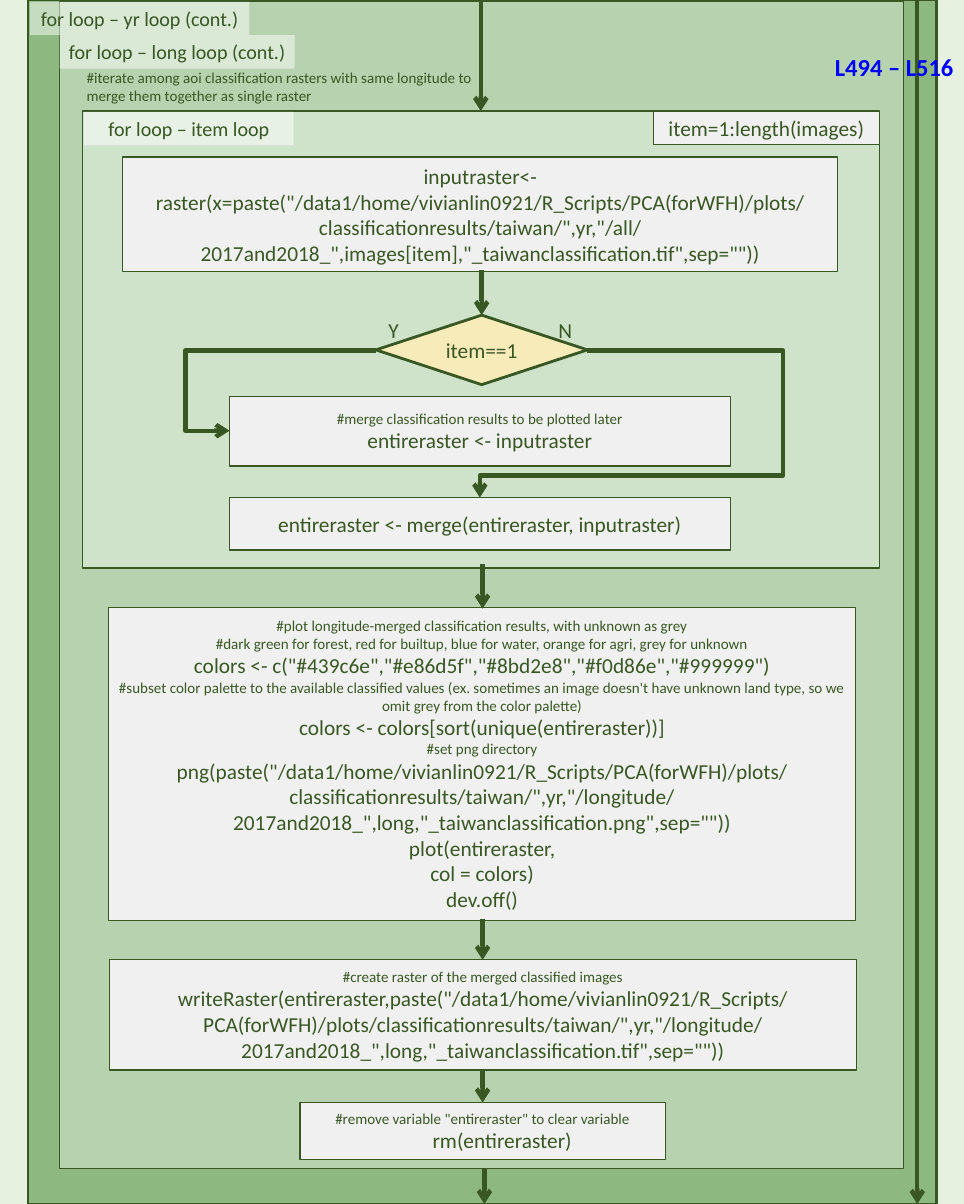
"""Draw the flowchart page of the longitude loop that merges and plots classification rasters."""
import dataclasses
import typing

import lxml.etree
import pptx
import pptx.dml.color
import pptx.enum.shapes
import pptx.enum.text
import pptx.oxml.ns
import pptx.slide
import pptx.util

COLUMNS, ROWS = 64, 80
WIDTH, HEIGHT = pptx.util.Inches(10.67), pptx.util.Inches(13.33)
COLORS = {
    "page": "E6F1DF", "year": "8DB981", "longitude": "B6D2AE", "item": "CFE3CB",
    "label": "FFFFFF", "step": "F0F0F0", "choice": "F8EBBA", "ink": "385723", "mark": "0000FF",
}
SHAPES = pptx.enum.shapes.MSO_SHAPE
ALIGN = pptx.enum.text.PP_ALIGN
ANCHOR = pptx.enum.text.MSO_ANCHOR
NOTE, LABEL, CODE, MARK = 12, 16, 17, 19.5


@dataclasses.dataclass(frozen=True)
class Line:
    text: str
    size: float = CODE
    color: str = "ink"
    bold: bool = False
    indent: float = 0


@dataclasses.dataclass(frozen=True)
class Box:
    left: float
    top: float
    columns: float
    rows: float
    lines: tuple[Line, ...] = ()
    fill: str = "step"
    border: float = 1
    kind: SHAPES = SHAPES.FLOWCHART_PROCESS
    opacity: int = 100


@dataclasses.dataclass(frozen=True)
class Caption:
    left: float
    top: float
    columns: float
    rows: float
    line: Line
    wrap: bool = True


@dataclasses.dataclass(frozen=True)
class Arrow:
    start: tuple[float, float]
    end: tuple[float, float]
    bends: tuple[float, ...] = ()


def note(text: str) -> Line:
    return Line(text, NOTE)


def frame(left: float, top: float, columns: float, rows: float, fill: str, border: float = 1) -> Box:
    return Box(left, top, columns, rows, (), fill, border, SHAPES.RECTANGLE)


def label(left: float, top: float, columns: float, text: str) -> Box:
    return Box(left, top, columns, 2.22, (Line(text, LABEL),), "label", 0, SHAPES.RECTANGLE, 50)


BOXES = (
    frame(1.86, 0, 60.3, 80, "year", 2.25),
    frame(3.96, 0.12, 56.04, 77.52, "longitude"),
    frame(5.46, 7.38, 52.92, 30.36, "item"),
    label(3.96, 2.34, 15.6, "for loop – long loop (cont.)"),
    label(1.98, 0.12, 14.58, "for loop – yr loop (cont.)"),
    label(5.58, 7.44, 13.92, "for loop – item loop"),
    Box(43.38, 7.38, 15, 2.22, (Line("item=1:length(images)"),), border=0.5),
    Box(8.16, 10.44, 47.46, 7.62, (
        Line('inputraster<- raster(x=paste("/data1/home/vivianlin0921/R_Scripts/PCA(forWFH)/plots/'
             'classificationresults/taiwan/",yr,"/all/2017and2018_",images[item],'
             '"_taiwanclassification.tif",sep=""))'),)),
    Box(24.96, 20.94, 14.04, 4.62, (Line("item==1"),), "choice", 2.25, SHAPES.FLOWCHART_DECISION),
    Box(15.24, 26.34, 33.24, 4.62, (
        note("#merge classification results to be plotted later"),
        Line("entireraster <- inputraster"))),
    Box(15.24, 33.06, 33.24, 3.48, (Line("entireraster <- merge(entireraster, inputraster)"),)),
    Box(7.2, 40.38, 49.62, 20.76, (
        note("#plot longitude-merged classification results, with unknown as grey"),
        note("#dark green for forest, red for builtup, blue for water, orange for agri, grey for unknown"),
        Line('colors <- c("#439c6e","#e86d5f","#8bd2e8","#f0d86e","#999999")'),
        note("#subset color palette to the available classified values (ex. sometimes an image "
             "doesn't have unknown land type, so we omit grey from the color palette)"),
        Line("colors <- colors[sort(unique(entireraster))]"),
        note("#set png directory"),
        Line('png(paste("/data1/home/vivianlin0921/R_Scripts/PCA(forWFH)/plots/classificationresults/'
             'taiwan/",yr,"/longitude/2017and2018_",long,"_taiwanclassification.png",sep=""))'),
        Line("plot(entireraster,"),
        Line("col = colors)"),
        Line("dev.off()"))),
    Box(7.26, 63.78, 49.62, 7.32, (
        note("#create raster of the merged classified images"),
        Line('writeRaster(entireraster,paste("/data1/home/vivianlin0921/R_Scripts/PCA(forWFH)/plots/'
             'classificationresults/taiwan/",yr,"/longitude/2017and2018_",long,'
             '"_taiwanclassification.tif",sep=""))'))),
    Box(19.92, 73.26, 24.24, 3.78, (
        note('#remove variable "entireraster" to clear variable'),
        Line("rm(entireraster)", indent=2.6))),
)
ARROWS = (
    Arrow((31.92, 0.12), (31.92, 7.38)),
    Arrow((31.98, 17.94), (31.98, 20.94)),
    Arrow((24.96, 23.28), (15.24, 28.62), (1.3,)),
    Arrow((39, 23.28), (31.86, 33.06), (-1.82, 0.85)),
    Arrow((32.04, 37.5), (32.04, 40.44)),
    Arrow((32.04, 61.08), (32.04, 63.78)),
    Arrow((32.04, 71.1), (32.04, 73.26)),
    Arrow((32.16, 77.64), (32.16, 80)),
    Arrow((60.9, 0), (60.9, 80)),
)
CAPTIONS = (
    Caption(5.16, 4.26, 29.1, 3, note(
        "#iterate among aoi classification rasters with same longitude to merge them together as single raster")),
    Caption(25.2, 20.76, 1.92, 2.34, Line("Y"), False),
    Caption(36.48, 20.76, 2.16, 2.34, Line("N"), False),
    Caption(54.84, 3.18, 9.24, 2.58, Line("L494 – L516", MARK, "mark", True)),
)


def across(columns: float) -> int:
    return round(WIDTH * columns / COLUMNS)


def down(rows: float) -> int:
    return round(HEIGHT * rows / ROWS)


def color(name: str) -> pptx.dml.color.RGBColor:
    return pptx.dml.color.RGBColor.from_string(COLORS[name])


def child(parent: typing.Any, tag: str, **values: str) -> typing.Any:
    return lxml.etree.SubElement(parent, pptx.oxml.ns.qn(tag), values)


def write(shape: typing.Any, lines: tuple[Line, ...], align: ALIGN) -> None:
    for index, line in enumerate(lines):
        para = shape.text_frame.paragraphs[0] if index == 0 else shape.text_frame.add_paragraph()
        para.alignment = align
        if line.indent:
            para._p.get_or_add_pPr().set("marL", str(across(line.indent)))
        span = para.add_run()
        span.text = line.text
        span.font.name, span.font.size = "Calibri", pptx.util.Pt(line.size)
        span.font.bold = line.bold
        span.font.color.rgb = color(line.color)


def draw_box(page: pptx.slide.Slide, box: Box) -> None:
    shape = page.shapes.add_shape(
        box.kind, across(box.left), down(box.top), across(box.columns), down(box.rows))
    shape.shadow.inherit = False
    shape.fill.solid()
    shape.fill.fore_color.rgb = color(box.fill)
    if box.opacity < 100:
        tint = next(shape._element.spPr.iter(pptx.oxml.ns.qn("a:srgbClr")))
        child(tint, "a:alpha", val=str(box.opacity * 1000))
    if box.border:
        shape.line.color.rgb = color("ink")
        shape.line.width = pptx.util.Pt(box.border)
    else:
        shape.line.fill.background()
    shape.text_frame.word_wrap = True
    shape.text_frame.vertical_anchor = ANCHOR.TOP if box.fill == "label" else ANCHOR.MIDDLE
    write(shape, box.lines, ALIGN.CENTER)


def draw_caption(page: pptx.slide.Slide, caption: Caption) -> None:
    shape = page.shapes.add_textbox(
        across(caption.left), down(caption.top), across(caption.columns), down(caption.rows))
    shape.text_frame.word_wrap = caption.wrap
    write(shape, (caption.line,), ALIGN.LEFT)


def draw_arrow(page: pptx.slide.Slide, arrow: Arrow) -> None:
    kinds = pptx.enum.shapes.MSO_CONNECTOR
    line = page.shapes.add_connector(
        kinds.ELBOW if arrow.bends else kinds.STRAIGHT,
        across(arrow.start[0]), down(arrow.start[1]), across(arrow.end[0]), down(arrow.end[1]))
    line.line.color.rgb = color("ink")
    line.line.width = pptx.util.Pt(3.5)
    properties = line._element.spPr
    child(line.line._get_or_add_ln(), "a:tailEnd", type="arrow")
    child(properties, "a:effectLst")
    if arrow.bends:
        geometry = properties.find(pptx.oxml.ns.qn("a:prstGeom"))
        geometry.set("prst", f"bentConnector{len(arrow.bends) + 2}")
        guides = geometry.find(pptx.oxml.ns.qn("a:avLst"))
        for number, share in enumerate(arrow.bends, 1):
            child(guides, "a:gd", name=f"adj{number}", fmla=f"val {round(share * 100000)}")


def main() -> None:
    deck = pptx.Presentation()
    deck.slide_width, deck.slide_height = WIDTH, HEIGHT
    page = deck.slides.add_slide(deck.slide_layouts[6])
    page.background.fill.solid()
    page.background.fill.fore_color.rgb = color("page")
    for box in BOXES:
        draw_box(page, box)
    for arrow in ARROWS:
        draw_arrow(page, arrow)
    for caption in CAPTIONS:
        draw_caption(page, caption)
    deck.save("out.pptx")


if __name__ == "__main__":
    main()
